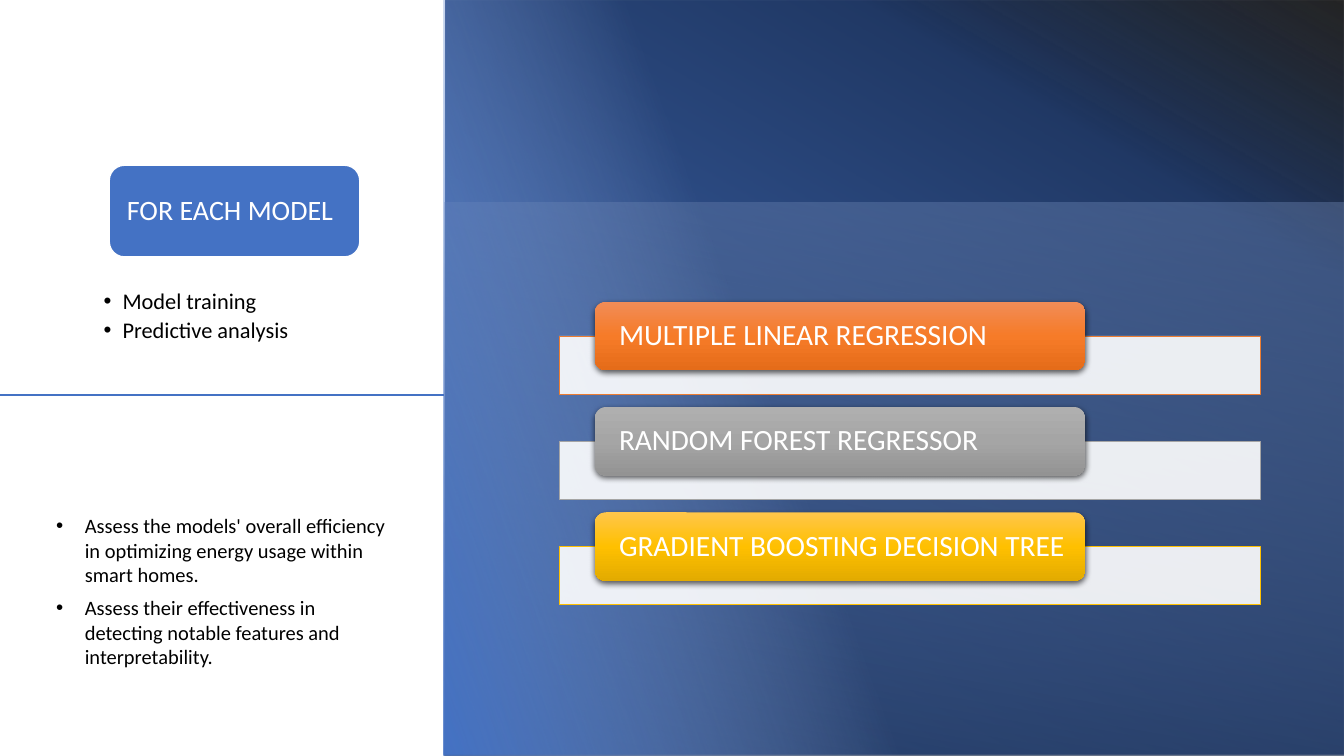
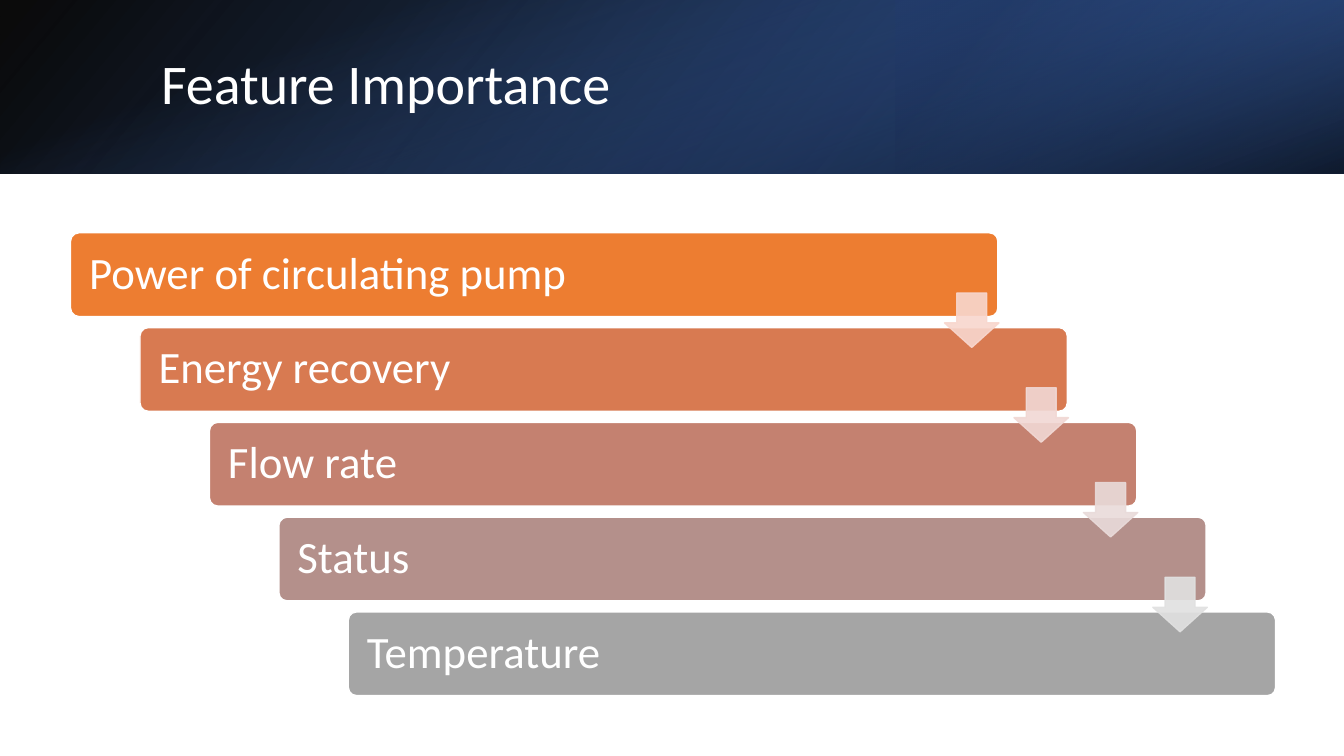
import pptx
import pptx.util
import pptx.dml.color
import pptx.enum.shapes
import pptx.enum.text
import pptx.oxml
import pptx.oxml.ns

Pt = pptx.util.Pt
RGBColor = pptx.dml.color.RGBColor
SHAPE = pptx.enum.shapes.MSO_SHAPE
ANCHOR = pptx.enum.text.MSO_ANCHOR
qn = pptx.oxml.ns.qn

# Shared style
FONT = "Calibri"
WIDTH, HEIGHT = 960, 540
WHITE = RGBColor(0xFF, 0xFF, 0xFF)
BLACK = RGBColor(0, 0, 0)
BLUE = RGBColor(0x44, 0x72, 0xC4)
MID_BLUE = RGBColor(0x2F, 0x55, 0x97)
DARK_BLUE = RGBColor(0x20, 0x38, 0x64)
PALE_BLUE = RGBColor(0x8F, 0xAA, 0xDC)
ORANGE = RGBColor(0xED, 0x7D, 0x31)
GRAY = RGBColor(0xA5, 0xA5, 0xA5)
GOLD = RGBColor(0xFF, 0xC0, 0x00)

# Backdrops: box, rotation, flipped, angle, stops (position, colour, opacity)
MODEL_BACKDROP = [
    ((318.24, 0, 642, HEIGHT), 0, False, 300,
     [(2, BLUE, 100), (78, DARK_BLUE, 100), (100, BLACK, 85)]),
    ((317.52, 144.7, 642, 395.3), 0, True, 80,
     [(0, PALE_BLUE, 30), (100, BLACK, 44)]),
    ((319.7, -2.7, 540, 545), 90, True, 110,
     [(56, PALE_BLUE, 0), (100, BLUE, 100)]),
]
FEATURE_BACKDROP = [
    ((0, 0, WIDTH, 124), 0, True, 140, [(0, BLACK, 96), (100, MID_BLUE, 100)]),
    ((640, 0, 320, 124), 180, True, 320, [(19, DARK_BLUE, 68), (100, BLUE, 79)]),
    ((418, -418, 124, WIDTH), 90, False, 340, [(23, BLUE, 0), (99, BLACK, 74)]),
]

# Slide 1 content: name, panel line colour, button gradient
MODELS = [
    ("MULTIPLE LINEAR REGRESSION", ORANGE, ("F18C57", "F67B28", "E56C19")),
    ("RANDOM FOREST REGRESSOR", GRAY, ("AFAFAF", "A5A5A5", "939393")),
    ("GRADIENT BOOSTING DECISION TREE", GOLD, ("FFC64B", "FFC000", "E3AB00")),
]
MODEL_PITCH = 75.2
HEADING = "FOR EACH MODEL"
TASKS = ["Model training", "Predictive analysis"]
GOALS = [
    "Assess the models' overall efficiency in optimizing energy usage within smart homes.",
    "Assess their effectiveness in detecting notable features and interpretability.",
]

# Slide 2 content: feature, bar colour
TITLE = "Feature Importance"
FEATURES = [
    ("Power of circulating pump", ORANGE),
    ("Energy recovery", RGBColor(0xD8, 0x7A, 0x51)),
    ("Flow rate", RGBColor(0xC4, 0x81, 0x70)),
    ("Status", RGBColor(0xB4, 0x90, 0x8B)),
    ("Temperature", GRAY),
]
ARROW_COLORS = [RGBColor.from_string(code)
                for code in ("F8D7CE", "F1D8D4", "E9DBDA", "E1E1E1")]
STEP_X, STEP_Y = 49.6, 67.7


def set_all(target, values):
    for name, value in values.items():
        setattr(target, name, value)


def add_element(parent, tag, **attributes):
    child = parent.makeelement(qn(tag), attributes)
    parent.append(child)
    return child


def set_opacity(color_element, percent):
    if percent < 100:
        add_element(color_element, "a:alpha", val=str(percent * 1000))


def add_box(slide, kind, box, fill=None, line=None, line_width=1):
    shape = slide.shapes.add_shape(kind, *map(Pt, box))
    shape.shadow.inherit = False
    if fill is not None:
        shape.fill.solid()
        shape.fill.fore_color.rgb = fill
    if line is None:
        shape.line.fill.background()
    else:
        shape.line.color.rgb = line
        shape.line.width = Pt(line_width)
    return shape


def set_gradient(shape, angle, stops):
    shape.fill.gradient()
    shape.fill.gradient_angle = 360 - angle
    stop_list = shape._element.spPr.find(qn("a:gradFill")).find(qn("a:gsLst"))
    for stop in list(stop_list):
        stop_list.remove(stop)
    for position, color, opacity in stops:
        stop = add_element(stop_list, "a:gs", pos=str(position * 1000))
        set_opacity(add_element(stop, "a:srgbClr", val=str(color)), opacity)


def add_backdrop(slide, backdrop):
    for box, rotation, flipped, angle, stops in backdrop:
        shape = add_box(slide, SHAPE.RECTANGLE, box)
        shape.rotation = rotation
        if flipped:
            shape._element.spPr.find(qn("a:xfrm")).set("flipH", "1")
        set_gradient(shape, angle, stops)


def add_drop_shadow(shape):
    effects = shape._element.spPr.find(qn("a:effectLst"))
    shadow = add_element(effects, "a:outerShdw", blurRad=str(Pt(4.5)), dist=str(Pt(1.5)),
                         dir="5400000", algn="ctr", rotWithShape="0")
    set_opacity(add_element(shadow, "a:srgbClr", val=str(BLACK)), 63)


def write(shape, lines, size, color=WHITE, insets=(7.2, 3.6, 7.2, 3.6),
          anchor=ANCHOR.MIDDLE, spacing=0.9, after=0, indent=0):
    frame = shape.text_frame
    left, top, right, bottom = map(Pt, insets)
    set_all(frame, dict(word_wrap=True, vertical_anchor=anchor, margin_left=left,
                        margin_top=top, margin_right=right, margin_bottom=bottom))
    for index, line in enumerate(lines):
        paragraph = frame.add_paragraph() if index else frame.paragraphs[0]
        paragraph.text = line
        if indent:
            properties = paragraph._element.get_or_add_pPr()
            properties.set("marL", str(Pt(indent)))
            properties.set("indent", str(-Pt(indent)))
            add_element(properties, "a:buFont", typeface="Arial")
            add_element(properties, "a:buChar", char="•")
        set_all(paragraph, dict(alignment=pptx.enum.text.PP_ALIGN.LEFT,
                                line_spacing=spacing, space_after=Pt(after)))
        set_all(paragraph.font, dict(name=FONT, size=Pt(size)))
        paragraph.font.color.rgb = color


def add_text(slide, box, lines, size, **style):
    write(slide.shapes.add_textbox(*map(Pt, box)), lines, size, **style)


def build_models(slide):
    add_backdrop(slide, MODEL_BACKDROP)

    # Model buttons on their panels
    for index, (name, accent, shades) in enumerate(MODELS):
        offset = index * MODEL_PITCH
        panel = add_box(slide, SHAPE.RECTANGLE, (399.6, 240 + offset, 501, 41.5),
                        WHITE, accent, 0.5)
        set_opacity(panel._element.spPr.find(qn("a:solidFill"))[0], 90)
        button = add_box(slide, SHAPE.ROUNDED_RECTANGLE, (424.8, 215.5 + offset, 350.6, 49))
        set_gradient(button, 90, [(position, shade, 100)
                                  for position, shade in zip((0, 50, 100), shades)])
        add_drop_shadow(button)
        write(button, [name], 21, insets=(15, 0, 5, 0))

    # Left column
    heading = add_box(slide, SHAPE.ROUNDED_RECTANGLE, (78, 118, 179, 65.5), BLUE, WHITE)
    write(heading, [HEADING], 20, insets=(9.4, 6, 6, 6))
    add_text(slide, (67, 206, 216, 64), TASKS, 16, color=BLACK, anchor=ANCHOR.TOP,
             insets=(7.2, 1.4, 8.6, 1.4), after=3.2, indent=13.5)
    add_text(slide, (33, 363, 250, 145), GOALS, 14.6, color=BLACK, anchor=ANCHOR.TOP,
             spacing=1, after=6, indent=20.5)
    divider = slide.shapes.add_connector(pptx.enum.shapes.MSO_CONNECTOR.STRAIGHT,
                                         0, Pt(282), Pt(317.5), Pt(282))
    divider.line.color.rgb = BLUE
    divider.line.width = Pt(1.5)
    add_element(divider._element.spPr, "a:effectLst")


def build_features(slide):
    add_backdrop(slide, FEATURE_BACKDROP)
    add_text(slide, (108, 27.4, 790, 69), [TITLE], 40)

    # Staircase of features
    left, top = 50.4, 166.3
    for index, (name, color) in enumerate(FEATURES):
        bar = add_box(slide, SHAPE.ROUNDED_RECTANGLE,
                      (left + index * STEP_X, top + index * STEP_Y, 662.4, 59.8), color, WHITE)
        bar.adjustments[0] = 0.1
        write(bar, [name], 32, insets=(11.5, 9, 9, 9))

    # Arrows between steps
    for index, color in enumerate(ARROW_COLORS):
        arrow = add_box(slide, SHAPE.DOWN_ARROW,
                        (left + 624.3 + index * STEP_X, top + 43 + index * STEP_Y, 38.9, 38.9),
                        color, color)
        arrow.adjustments[0], arrow.adjustments[1] = 0.55, 0.45
        for color_element in arrow._element.spPr.iter(qn("a:srgbClr")):
            set_opacity(color_element, 90)


def main():
    presentation = pptx.Presentation()
    presentation.slide_width, presentation.slide_height = Pt(WIDTH), Pt(HEIGHT)
    for build in (build_models, build_features):
        build(presentation.slides.add_slide(presentation.slide_layouts[6]))
    presentation.save("out.pptx")


if __name__ == "__main__":
    main()
